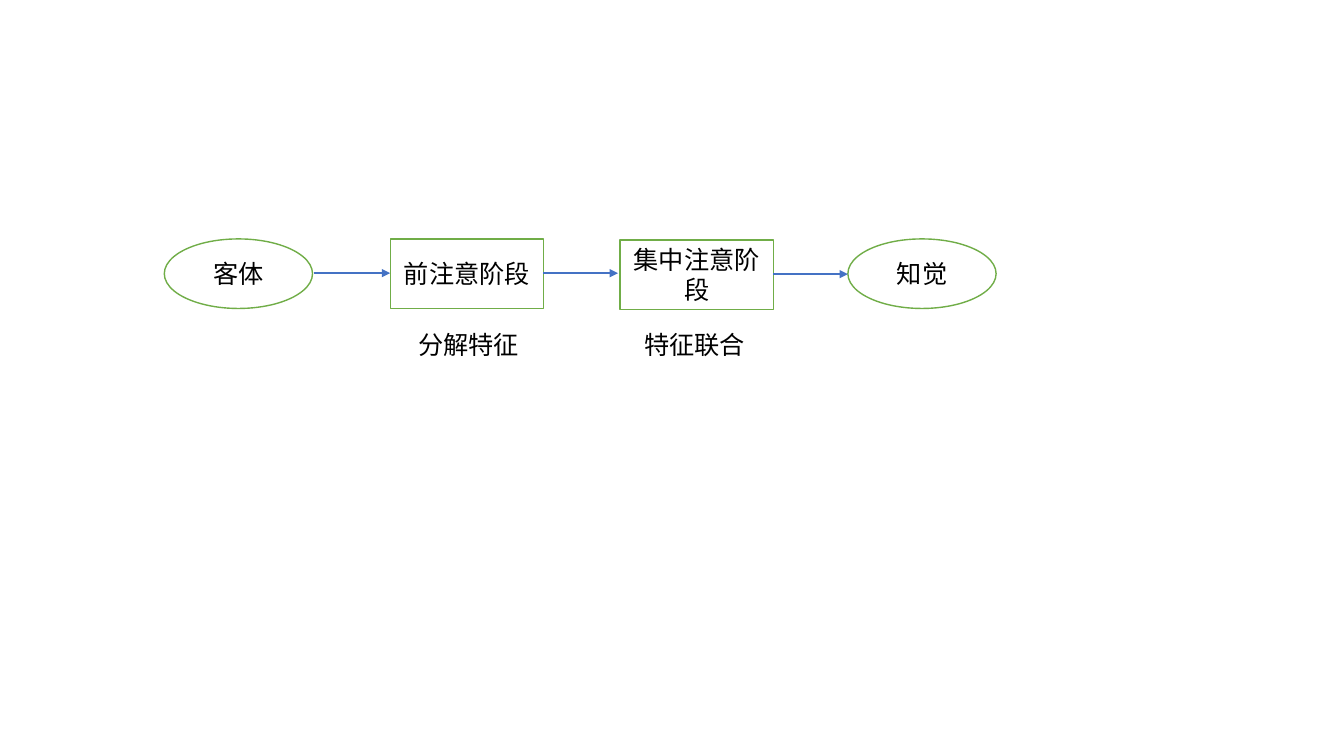
import pptx
import pptx.util
import pptx.dml.color
import pptx.enum.shapes
import pptx.enum.text
import pptx.oxml.ns
from lxml import etree

Inches = pptx.util.Inches
Shape = pptx.enum.shapes.MSO_SHAPE
Align = pptx.enum.text.PP_ALIGN
Anchor = pptx.enum.text.MSO_ANCHOR
Fit = pptx.enum.text.MSO_AUTO_SIZE
qn = pptx.oxml.ns.qn

COLORS = {"fill": "FFFFFF", "edge": "70AD47", "arrow": "4472C4", "text": "000000"}


def color(name):
    return pptx.dml.color.RGBColor.from_string(COLORS[name])


def apply(target, values):
    for name, value in values.items():
        setattr(target, name, value)


class Chart:
    """Holds the style and the current slide."""
    face = "Noto Sans CJK SC"
    font = {"name": face, "size": pptx.util.Pt(18)}
    width = pptx.util.Pt(1)

    def __init__(self, slide):
        self.slide = slide

    def words(self, shape, text, align, values):
        frame = shape.text_frame
        apply(frame, {"word_wrap": True, **values})
        para = frame.paragraphs[0]
        para.alignment = align
        run = para.add_run()
        run.text = text
        apply(run.font, self.font)
        run.font.color.rgb = color("text")
        # East Asian typeface
        etree.SubElement(run.font._element, qn("a:ea"), typeface=self.face)

    def stroke(self, line, name):
        line.color.rgb = color(name)
        line.width = self.width

    def node(self, kind, text, *box):
        shape = self.slide.shapes.add_shape(kind, *map(Inches, box))
        shape.shadow.inherit = False
        shape.fill.solid()
        shape.fill.fore_color.rgb = color("fill")
        self.stroke(shape.line, "edge")
        self.words(shape, text, Align.CENTER, {"vertical_anchor": Anchor.MIDDLE})

    def label(self, text, *box):
        shape = self.slide.shapes.add_textbox(*map(Inches, box))
        self.words(shape, text, Align.LEFT, {"auto_size": Fit.SHAPE_TO_FIT_TEXT})

    def arrow(self, start, end, y):
        kind = pptx.enum.shapes.MSO_CONNECTOR.STRAIGHT
        line = self.slide.shapes.add_connector(kind, *map(Inches, (start, y, end, y)))
        self.stroke(line.line, "arrow")
        props = line._element.spPr
        etree.SubElement(props.find(qn("a:ln")), qn("a:tailEnd"), type="triangle")
        etree.SubElement(props, qn("a:effectLst"))


deck = pptx.Presentation()
apply(deck, {"slide_width": Inches(13.33), "slide_height": Inches(7.5)})
chart = Chart(deck.slides.add_slide(deck.slide_layouts[6]))

# Stages of perception
OVAL, RECT = (Shape.OVAL, 1.47), (Shape.RECTANGLE, 1.52)
for (kind, width), text, left, top in (
    (OVAL, "客体", 1.63, 2.37),
    (RECT, "前注意阶段", 3.87, 2.37),
    (RECT, "集中注意阶段", 6.15, 2.38),
    (OVAL, "知觉", 8.41, 2.37),
):
    chart.node(kind, text, left, top, width, 0.69)

# Arrows between the stages
for start, end, y in ((3.11, 3.87, 2.71), (5.39, 6.13, 2.71), (7.67, 8.41, 2.72)):
    chart.arrow(start, end, y)

# Labels under the two middle stages
for text, left in (("分解特征", 4.05), ("特征联合", 6.29)):
    chart.label(text, left, 3.22, 1.52, 0.4)

deck.save("out.pptx")
